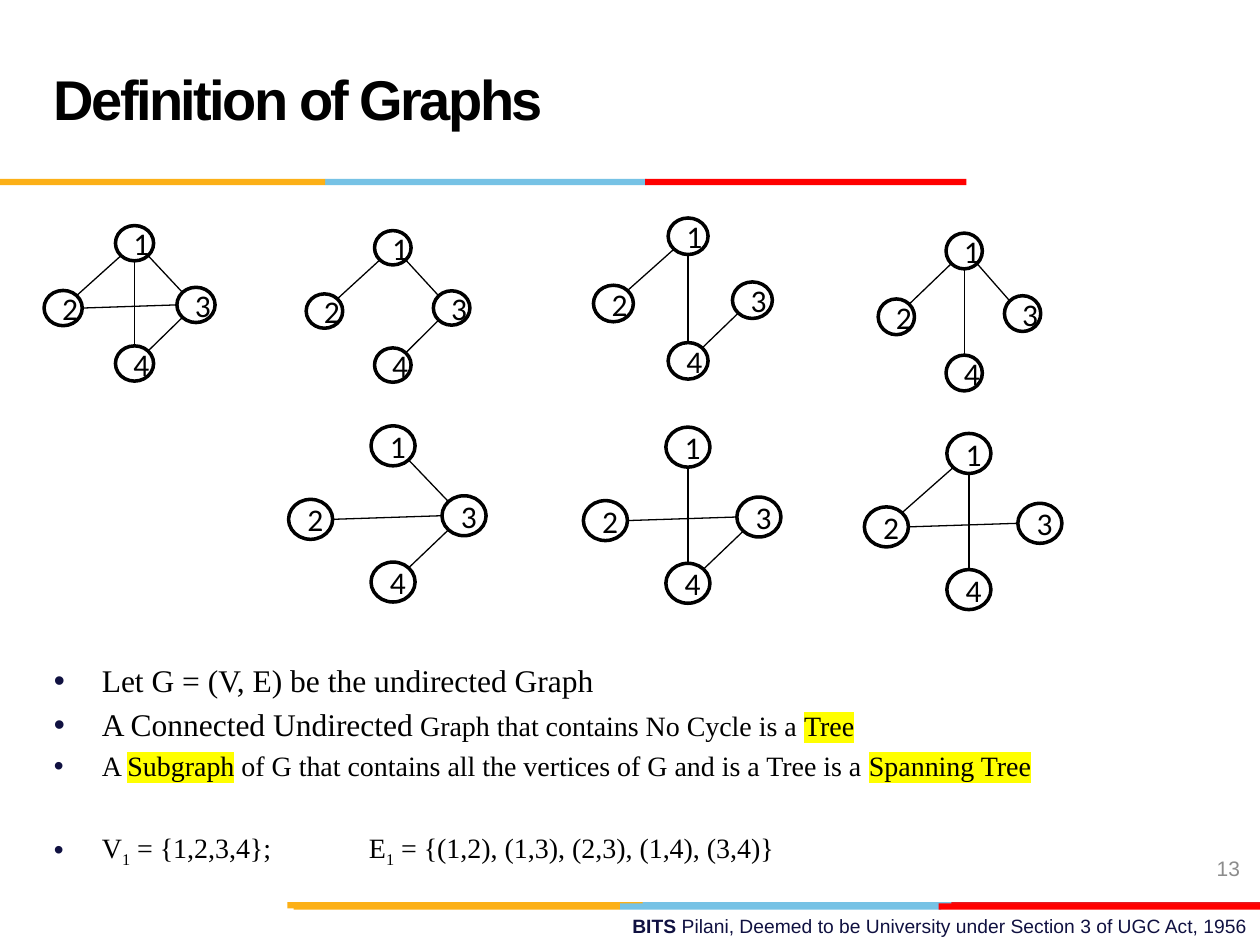
from dataclasses import dataclass
from typing import Optional

from lxml import etree
from pptx import Presentation
from pptx import util as u
from pptx.dml.color import RGBColor
from pptx.enum import shapes, text
from pptx.oxml import ns

WIDTH, HEIGHT = u.Inches(10), u.Inches(7.5)
COLUMN, ROW = WIDTH / 100, HEIGHT / 75
BLACK, WHITE, NAVY, GREY = "000000", "FFFFFF", "101141", "8C8C8C"
AMBER, SKY, CRIMSON, RED, YELLOW = "FCB017", "76C2E5", "E31C24", "FF0000", "FFFF00"
DIAGONAL = 0.5 ** 0.5

# Node label -> offset from the graph's corner, in node widths and heights.
NODES = {"2": (0, 1.84), "3": (3.48, 1.75), "1": (1.87, 0), "4": (1.87, 3.41)}
# Edge -> the directions in which it leaves its two nodes.
EDGES = {
    "14": ((0, 1), (0, -1)),
    "23": ((1, 0), (-1, 0)),
    "12": ((-DIAGONAL, DIAGONAL), (DIAGONAL, -DIAGONAL)),
    "13": ((DIAGONAL, DIAGONAL), (-DIAGONAL, -DIAGONAL)),
    "34": ((-DIAGONAL, DIAGONAL), (DIAGONAL, -DIAGONAL)),
}


@dataclass(frozen=True)
class Bar:
    """A stretch of a coloured rule, in columns and rows."""
    left: float
    top: float
    width: float
    color: str


@dataclass(frozen=True)
class Graph:
    """A four-node graph: corner and node size in columns and rows, and edges."""
    left: float
    top: float
    node_width: float
    node_height: float
    edges: tuple


@dataclass(frozen=True)
class Run:
    """A piece of a bullet with its own format."""
    content: str
    size: float = 16
    highlight: Optional[str] = None
    baseline: Optional[int] = None


@dataclass(frozen=True)
class Bullet:
    """A bullet paragraph and the points of space before it."""
    space_before: float
    runs: tuple


BARS = (
    Bar(50.6, 71.6, 25.5, SKY), Bar(75.5, 71.6, 24.5, CRIMSON), Bar(22.8, 71.6, 28.2, AMBER),
    Bar(49.2, 71.7, 25.5, SKY), Bar(23.3, 71.7, 25.9, AMBER), Bar(74.5, 71.7, 25.5, RED),
    Bar(25.8, 14.2, 25.5, SKY), Bar(0, 14.2, 25.8, AMBER), Bar(51.2, 14.2, 25.5, RED),
)
GRAPHS = (
    Graph(3.5, 17.9, 3.03, 2.8, ("14", "23", "12", "13", "34")),
    Graph(24.3, 18.3, 2.9, 2.73, ("12", "13", "34")),
    Graph(47.1, 17.3, 3.17, 2.9, ("14", "12", "34")),
    Graph(69.7, 18.5, 2.88, 2.84, ("14", "12", "13")),
    Graph(22.9, 33.8, 3.5, 3.17, ("23", "13", "34")),
    Graph(46.3, 33.9, 3.5, 3.17, ("14", "23", "34")),
    Graph(68.6, 34.4, 3.5, 3.17, ("14", "23", "12")),
)
BULLETS = (
    Bullet(0, (Run("Let G = (V, E) be the undirected Graph", 18),)),
    Bullet(3.6, (Run("A Connected Undirected", 18), Run(" Graph that contains No Cycle is a "),
                 Run("Tree", highlight=YELLOW))),
    Bullet(3.2, (Run("A "), Run("Subgraph", highlight=YELLOW),
                 Run(" of G that contains all the vertices of G and is a Tree is a "),
                 Run("Spanning Tree", highlight=YELLOW))),
    Bullet(27.5, (Run("V"), Run("1", baseline=-25000), Run(" = {1,2,3,4};\tE"),
                  Run("1", baseline=-25000),
                  Run(" = {(1,2), (1,3), (2,3), (1,4), (3,4)}"))),
)


def rgb(value: str) -> RGBColor:
    """Turn a hex string into a colour."""
    return RGBColor.from_string(value)


def grid(left: float, top: float, width: float, height: float) -> tuple:
    """Turn columns and rows into slide lengths."""
    return tuple(u.Emu(round(n * unit)) for n, unit in
                 zip((left, top, width, height), (COLUMN, ROW, COLUMN, ROW)))


def write(paragraph, content: str, *, size: float, font: str = "Arial", color: str = BLACK,
          bold: bool = False, spacing: Optional[int] = None,
          highlight: Optional[str] = None, baseline: Optional[int] = None) -> None:
    """Add formatted text to a paragraph."""
    run = paragraph.add_run()
    run.text = content
    run.font.size, run.font.bold = u.Pt(size), bold
    run.font.color.rgb = rgb(color)
    properties = run.font._element
    if highlight:
        marker = etree.Element(ns.qn("a:highlight"))
        etree.SubElement(marker, ns.qn("a:srgbClr"), val=highlight)
        properties.find(ns.qn("a:solidFill")).addnext(marker)
    run.font.name = font
    for name, value in (("spc", spacing), ("baseline", baseline)):
        if value is not None:
            properties.set(name, str(value))


def add_box(slide, area: tuple, anchor=text.MSO_ANCHOR.TOP, align=text.PP_ALIGN.LEFT):
    """Add a wrapping text box and return its frame."""
    frame = slide.shapes.add_textbox(*grid(*area)).text_frame
    frame.word_wrap, frame.vertical_anchor = True, anchor
    frame.paragraphs[0].alignment = align
    return frame


def add_bar(slide, bar: Bar) -> None:
    """Draw one stretch of a rule."""
    shape = slide.shapes.add_shape(shapes.MSO_SHAPE.RECTANGLE,
                                   *grid(bar.left, bar.top, bar.width, 0.5))
    shape.shadow.inherit = False
    shape.fill.solid()
    shape.fill.fore_color.rgb = rgb(bar.color)
    shape.line.fill.background()


def add_node(slide, label: str, area: tuple) -> None:
    """Draw a numbered node."""
    shape = slide.shapes.add_shape(shapes.MSO_SHAPE.OVAL, *grid(*area))
    shape.shadow.inherit = False
    shape.fill.solid()
    shape.fill.fore_color.rgb = rgb(WHITE)
    shape.line.color.rgb, shape.line.width = rgb(BLACK), u.Pt(2)
    paragraph = shape.text_frame.paragraphs[0]
    paragraph.alignment = text.PP_ALIGN.CENTER
    write(paragraph, label, size=18, font="Calibri")


def add_graph(slide, graph: Graph) -> None:
    """Draw a graph's nodes and the edges between their rims."""
    width, height = graph.node_width, graph.node_height
    for label, (x, y) in NODES.items():
        add_node(slide, label, (graph.left + x * width, graph.top + y * height, width, height))
    for edge in graph.edges:
        ends = []
        for label, (dx, dy) in zip(edge, EDGES[edge]):
            x, y = NODES[label]
            ends += [graph.left + (x + 0.5 + dx / 2) * width,
                     graph.top + (y + 0.5 + dy / 2) * height]
        line = slide.shapes.add_connector(shapes.MSO_CONNECTOR.STRAIGHT, *grid(*ends))
        line.line.color.rgb, line.line.width = rgb(BLACK), u.Pt(0.75)
        etree.SubElement(line._element.spPr, ns.qn("a:effectLst"))


def add_bullet(paragraph, bullet: Bullet) -> None:
    """Fill a paragraph as a bullet with a hanging indent and a tab stop."""
    paragraph.alignment = text.PP_ALIGN.JUSTIFY
    paragraph.space_before = u.Pt(bullet.space_before)
    properties = paragraph._p.get_or_add_pPr()
    properties.set("marL", str(u.Inches(0.38)))
    properties.set("indent", str(u.Inches(-0.38)))
    color = etree.SubElement(properties, ns.qn("a:buClr"))
    etree.SubElement(color, ns.qn("a:srgbClr"), val=NAVY)
    etree.SubElement(properties, ns.qn("a:buFont"), typeface="Arial")
    etree.SubElement(properties, ns.qn("a:buChar"), char="•")
    tabs = etree.SubElement(properties, ns.qn("a:tabLst"))
    etree.SubElement(tabs, ns.qn("a:tab"), pos=str(u.Inches(2.5)), algn="l")
    for run in bullet.runs:
        write(paragraph, run.content, size=run.size, font="Times New Roman",
              highlight=run.highlight, baseline=run.baseline)


def main() -> None:
    """Build the slide and save it."""
    presentation = Presentation()
    presentation.slide_width, presentation.slide_height = WIDTH, HEIGHT
    slide = presentation.slides.add_slide(presentation.slide_layouts[6])
    middle, right = text.MSO_ANCHOR.MIDDLE, text.PP_ALIGN.RIGHT

    footer = add_box(slide, (35.8, 72.1, 64.2, 2.9), align=right).paragraphs[0]
    write(footer, "BITS ", size=11, color=NAVY, bold=True)
    write(footer, "Pilani, Deemed to be University under Section 3 of UGC Act, 1956",
          size=11, color=NAVY)
    for bar in BARS:
        add_bar(slide, bar)

    title = add_box(slide, (3.3, 1.7, 79.2, 12.5), middle).paragraphs[0]
    title.line_spacing = u.Pt(36)
    write(title, "Definition of Graphs", size=32, bold=True, spacing=-150)
    number = add_box(slide, (76.1, 66.9, 23.3, 4), middle, right).paragraphs[0]
    write(number, "13", size=12, color=GREY)

    for graph in GRAPHS:
        add_graph(slide, graph)
    body = add_box(slide, (3.3, 52, 89.2, 18.3))
    for index, bullet in enumerate(BULLETS):
        add_bullet(body.add_paragraph() if index else body.paragraphs[0], bullet)
    presentation.save("out.pptx")


if __name__ == "__main__":
    main()
